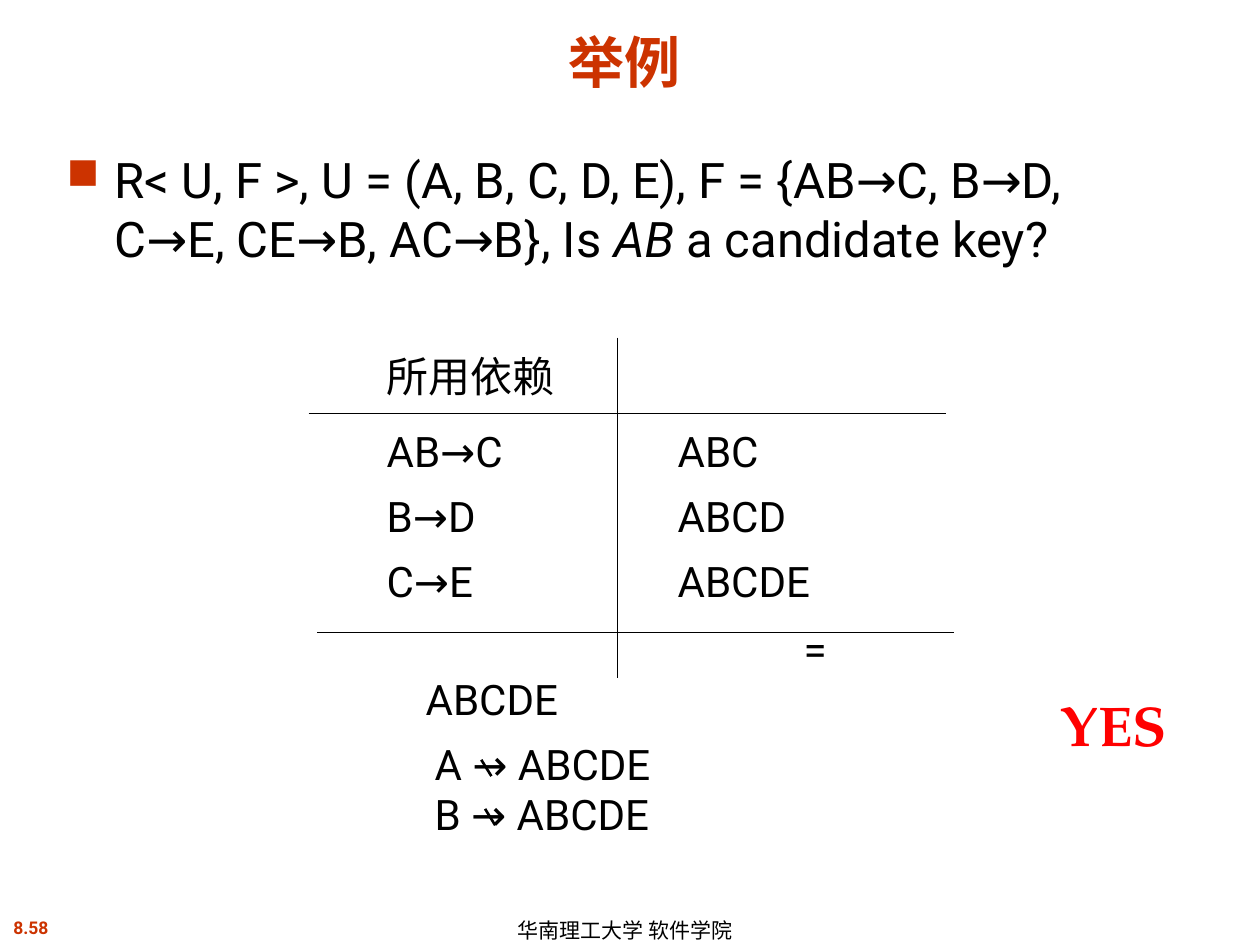
from dataclasses import dataclass

from lxml.etree import SubElement
from pptx import Presentation
from pptx.dml.color import RGBColor
from pptx.enum.shapes import MSO_CONNECTOR
from pptx.enum.text import MSO_ANCHOR, MSO_AUTO_SIZE, PP_ALIGN
from pptx.oxml.ns import qn
from pptx.util import Inches, Pt


@dataclass(frozen=True)
class Theme:
    accent: RGBColor = RGBColor(0xCC, 0x33, 0x00)
    ink: RGBColor = RGBColor(0, 0, 0)
    answer: RGBColor = RGBColor(0xFF, 0, 0)
    sans: str = "Roboto"
    serif: str = "TeX Gyre Pagella"
    footer_face: str = "Arial"
    bullet_face: str = "Wingdings"
    heading: int = 32
    question: int = 28
    working: int = 24
    footer: int = 12
    number: int = 10


THEME = Theme()


def style(paragraph, size, color=THEME.ink, face=THEME.sans, bold=False):
    font = paragraph.font
    font.size, font.name, font.bold = Pt(size), face, bold
    font.color.rgb = color


def add_text(slide, left, top, width, height, lines, wrap=True):
    frame = slide.shapes.add_textbox(
        Inches(left), Inches(top), Inches(width), Inches(height)
    ).text_frame
    frame.word_wrap = wrap
    frame.text = "\n".join(lines)
    return frame


def set_indent(paragraph, margin, first_line):
    properties = paragraph._p.get_or_add_pPr()
    properties.set("marL", str(Inches(margin)))
    properties.set("indent", str(Inches(first_line)))
    properties.set("defTabSz", str(Inches(1)))
    return properties


def add_bullet(properties, color):
    bullet_color = SubElement(properties, qn("a:buClr"))
    SubElement(bullet_color, qn("a:srgbClr"), val=str(color))
    SubElement(properties, qn("a:buSzPct"), val="90000")
    SubElement(properties, qn("a:buFont"), typeface=THEME.bullet_face, charset="2")
    SubElement(properties, qn("a:buChar"), char="n")


def add_line(slide, x1, y1, x2, y2, weight=0.75):
    line = slide.shapes.add_connector(
        MSO_CONNECTOR.STRAIGHT, Inches(x1), Inches(y1), Inches(x2), Inches(y2)
    )
    line.line.color.rgb = THEME.ink
    line.line.width = Pt(weight)
    SubElement(line._element.spPr, qn("a:effectLst"))


def add_title(slide):
    title = slide.shapes.title
    title.left, title.top = Inches(0.25), Inches(0.13)
    title.width, title.height = Inches(9.42), Inches(0.67)
    frame = title.text_frame
    frame.text = "举例"
    frame.auto_size = MSO_AUTO_SIZE.NONE
    frame.vertical_anchor = MSO_ANCHOR.BOTTOM
    heading = frame.paragraphs[0]
    heading.alignment = PP_ALIGN.CENTER
    style(heading, THEME.heading, THEME.accent, bold=True)


def add_question(slide):
    relation = "R< U, F >, U = (A, B, C, D, E), F = {AB→C, B→D, C→E, CE→B, AC→B}, Is "
    question = add_text(slide, 0.43, 1.14, 8.99, 1.07, [relation]).paragraphs[0]
    key = question.add_run()
    key.text = "AB"
    key.font.italic = True
    question.add_run().text = " a candidate key?"
    add_bullet(set_indent(question, 0.38, -0.38), THEME.accent)
    style(question, THEME.question)


def add_derivation(slide):
    steps = [
        ("所用依赖", 0),
        ("AB→C\t\tABC", 14.4),
        ("B→D\t\tABCD", 8.4),
        ("C→E\t\tABCDE", 8.4),
        ("\t\t\t\t=\vABCDE", 9.6),
    ]
    frame = add_text(slide, 2.47, 2.73, 5.32, 2.94, [text for text, _ in steps])
    for paragraph, (_, gap) in zip(frame.paragraphs, steps):
        set_indent(paragraph, 0.81, -0.31)
        paragraph.space_before = Pt(gap)
        style(paragraph, THEME.working)
    add_line(slide, 2.45, 3.28, 7.51, 3.28)
    add_line(slide, 2.52, 5.02, 7.57, 5.02)
    add_line(slide, 4.9, 2.68, 4.9, 5.38)


def add_non_dependencies(slide):
    frame = add_text(slide, 3.35, 5.81, 3.25, 0.91, ["A → ABCDE", "B → ABCDE"])
    for paragraph in frame.paragraphs:
        style(paragraph, THEME.working)
    for left, top in ((3.82, 6.03), (3.85, 6.42)):
        add_line(slide, left, top, left + 0.08, top + 0.13, 1.5)


def add_answer(slide):
    answer = add_text(slide, 8.32, 5.43, 1.28, 0.64, ["YES"]).paragraphs[0]
    style(answer, THEME.heading, THEME.answer, THEME.serif, True)


def add_footer(slide):
    number = add_text(slide, 0, 7.23, 0.49, 0.27, ["8.58"], False).paragraphs[0]
    number.alignment = PP_ALIGN.CENTER
    style(number, THEME.number, THEME.accent, bold=True)
    frame = add_text(slide, 4.01, 7.25, 2.24, 0.25, ["华南理工大学 软件学院"], False)
    frame.vertical_anchor = MSO_ANCHOR.MIDDLE
    school = frame.paragraphs[0]
    school.line_spacing = 1.1
    style(school, THEME.footer, face=THEME.footer_face)


def main():
    deck = Presentation()
    deck.slide_width, deck.slide_height = Inches(10), Inches(7.5)
    slide = deck.slides.add_slide(deck.slide_layouts[5])
    add_footer(slide)
    add_title(slide)
    add_question(slide)
    add_answer(slide)
    add_derivation(slide)
    add_non_dependencies(slide)
    deck.save("out.pptx")


if __name__ == "__main__":
    main()
